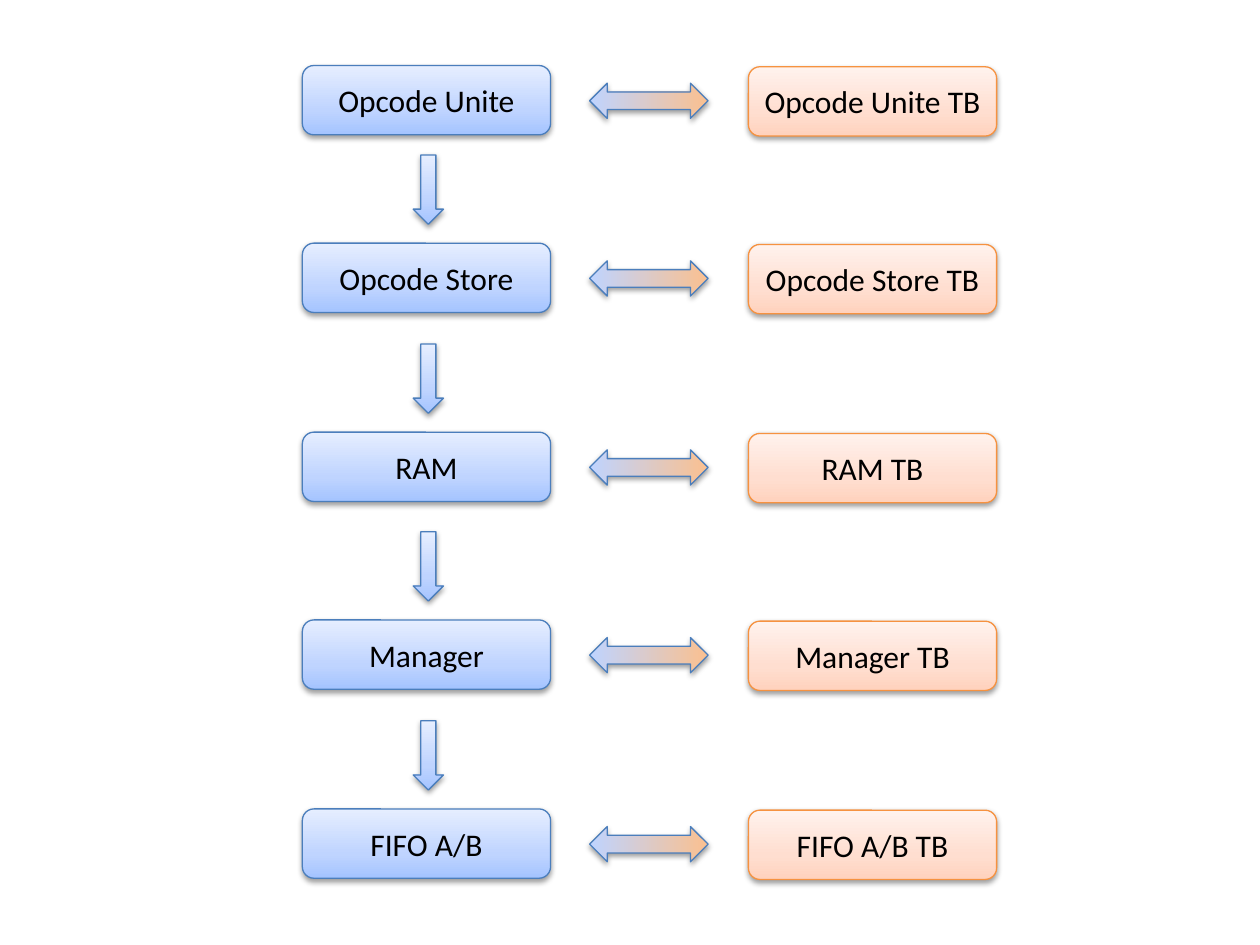
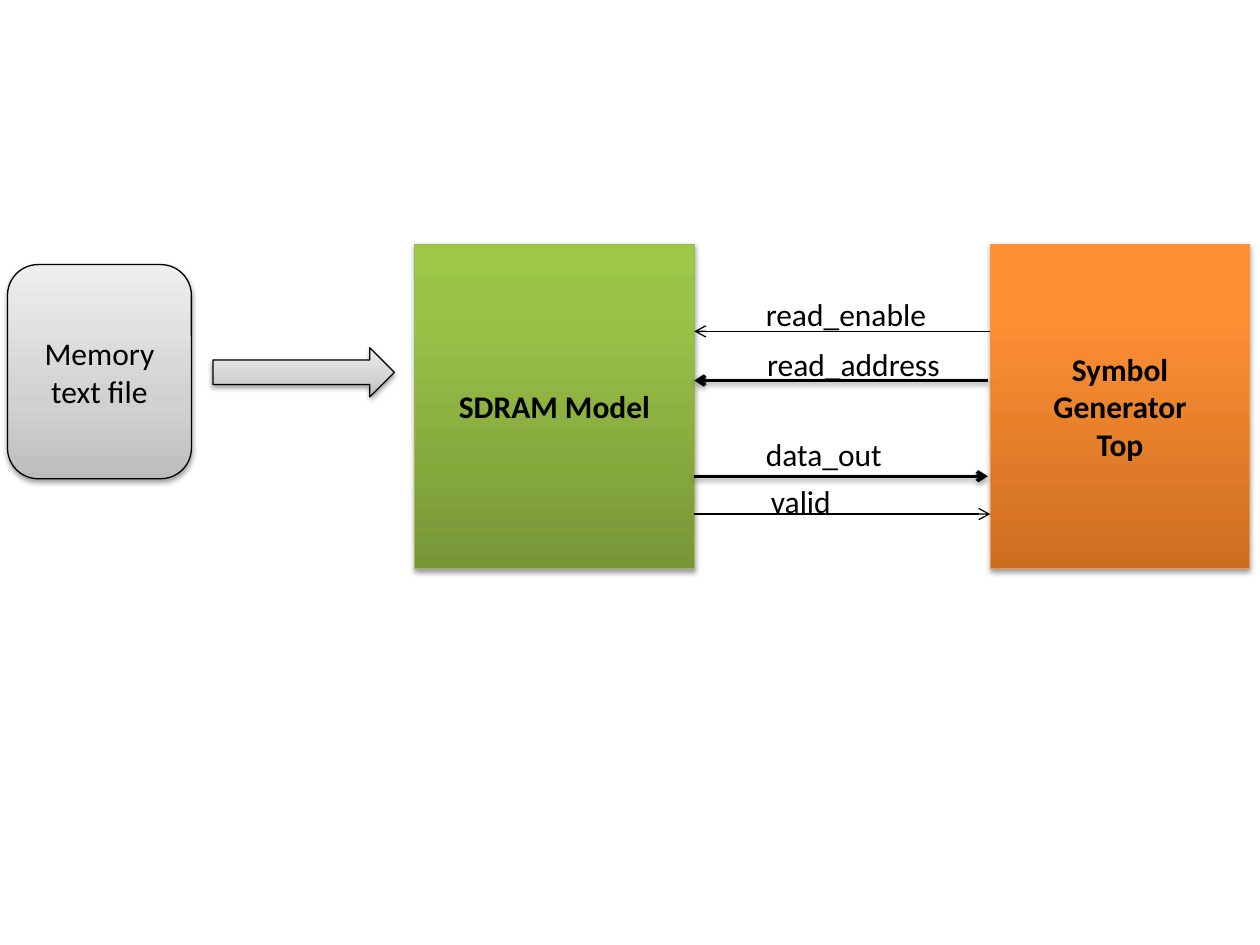
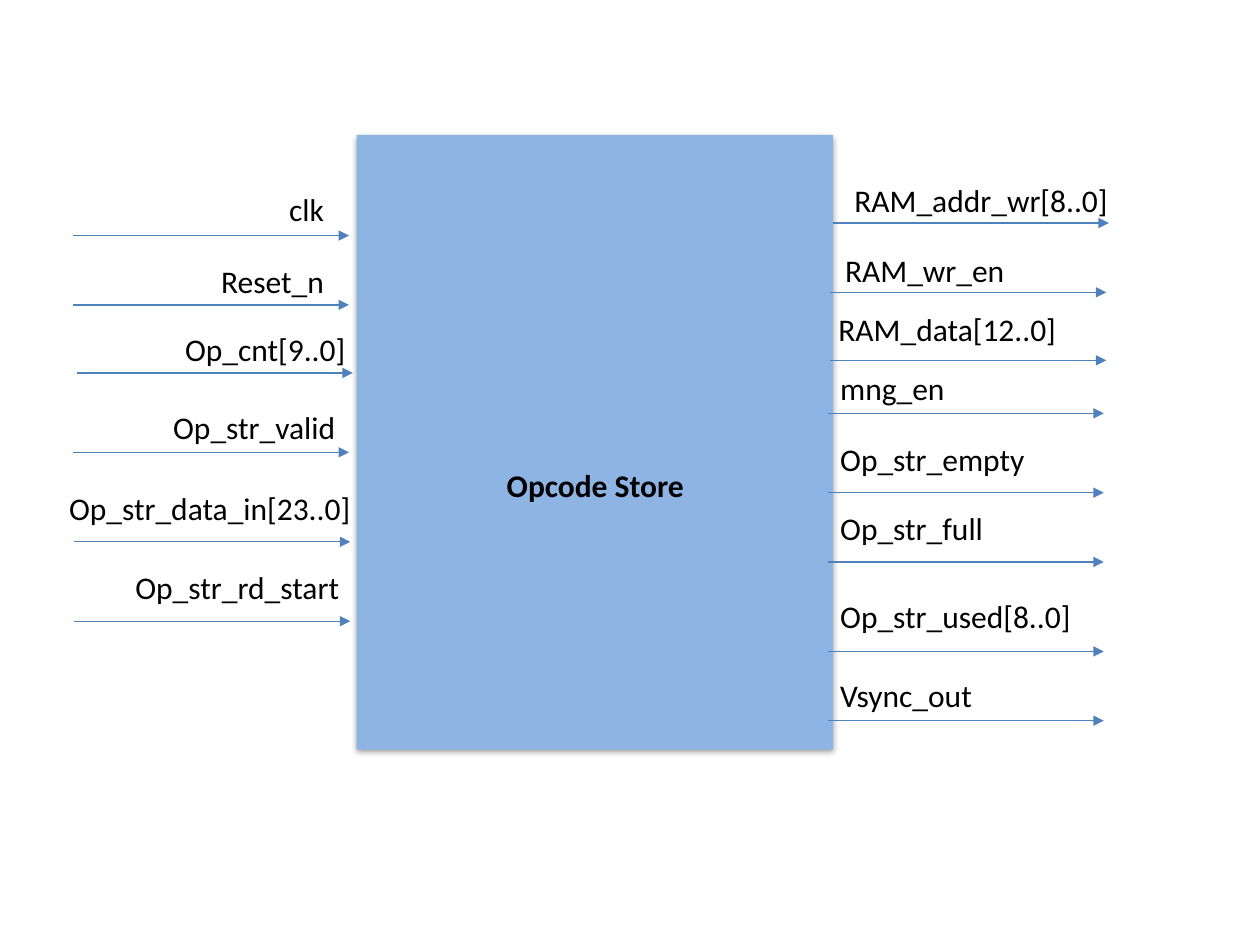
from copy import deepcopy

from pptx import Presentation
from pptx.dml.color import RGBColor
from pptx.enum.shapes import MSO_CONNECTOR, MSO_SHAPE
from pptx.enum.text import MSO_ANCHOR, PP_ALIGN
from pptx.oxml import parse_xml
from pptx.oxml.ns import nsdecls, qn
from pptx.util import Inches, Pt

ROUNDED, RECTANGLE = MSO_SHAPE.ROUNDED_RECTANGLE, MSO_SHAPE.RECTANGLE
DOWN, RIGHT_ARROW = MSO_SHAPE.DOWN_ARROW, MSO_SHAPE.RIGHT_ARROW
BOTH_WAYS = MSO_SHAPE.LEFT_RIGHT_ARROW
STRAIGHT = MSO_CONNECTOR.STRAIGHT
MIDDLE = MSO_ANCHOR.MIDDLE
LEFT, CENTER, RIGHT = PP_ALIGN.LEFT, PP_ALIGN.CENTER, PP_ALIGN.RIGHT

# Shared colours and text style
FONT, TEXT_SIZE = "Calibri", Pt(18)
BLACK = RGBColor(0x00, 0x00, 0x00)
BLUE_LINE = RGBColor(0x4B, 0x7E, 0xBC)
ORANGE_LINE = RGBColor(0xF6, 0x92, 0x40)
GREEN_LINE = RGBColor(0x98, 0xB9, 0x55)
SIGNAL_BLUE = RGBColor(0x4F, 0x81, 0xBD)
STORE_BLUE = RGBColor(0x8E, 0xB4, 0xE3)
SKY = RGBColor(0xBF, 0xD4, 0xFF)
PALE_SKY = RGBColor(0xE6, 0xEE, 0xFF)

# Fills as (position, colour) stops; a single stop is a solid fill
BLUE = [(0, RGBColor(0xA4, 0xC4, 0xFF)), (0.35, SKY), (1, PALE_SKY)]
PEACH = [(0, RGBColor(0xFF, 0xD2, 0xBD)), (0.35, RGBColor(0xFF, 0xDE, 0xD0)),
         (1, RGBColor(0xFF, 0xF2, 0xED))]
PEACH_TO_BLUE = [(0, RGBColor(0xFA, 0xC0, 0x90)), (1, SKY), (1, PALE_SKY)]
GREY = [(0, RGBColor(0xBD, 0xBD, 0xBD)), (0.35, RGBColor(0xD1, 0xD1, 0xD1)),
        (1, RGBColor(0xEE, 0xEE, 0xEE))]
ORANGE = [(0, RGBColor(0xCC, 0x6E, 0x20)), (0.8, RGBColor(0xFF, 0x90, 0x34)),
          (1, RGBColor(0xFF, 0x91, 0x36))]
GREEN = [(0, RGBColor(0x77, 0x97, 0x37)), (0.8, RGBColor(0x9B, 0xC3, 0x48)),
         (1, RGBColor(0x9D, 0xC7, 0x46))]

SHADOW = (f'<a:outerShdw {nsdecls("a")} blurRad="40000" dist="20000" dir="5400000" '
          'rotWithShape="0"><a:srgbClr val="000000"><a:alpha val="38000"/>'
          '</a:srgbClr></a:outerShdw>')


def add_block(slide, kind, box, stops, line_color, text="", bold=False, angle=90):
    block = slide.shapes.add_shape(kind, *map(Inches, box))
    if len(stops) == 1:
        block.fill.solid()
        block.fill.fore_color.rgb = stops[0][1]
    else:
        block.fill.gradient()
        block.fill.gradient_angle = angle
        stop_list = block._element.spPr.find(".//" + qn("a:gsLst"))
        stop_list.append(deepcopy(stop_list[-1]))
        for stop, (position, color) in zip(block.fill.gradient_stops, stops):
            stop.position = position
            stop.color.rgb = color
    if line_color is None:
        block.line.fill.background()
    else:
        block.line.color.rgb = line_color
        block.line.width = Pt(0.75)
    block.shadow.inherit = False
    block._element.spPr.find(qn("a:effectLst")).append(parse_xml(SHADOW))
    if text:
        block.text_frame.text = text
        block.text_frame.word_wrap = True
        block.text_frame.vertical_anchor = MIDDLE
        for paragraph in block.text_frame.paragraphs:
            paragraph.alignment = CENTER
            paragraph.font.name, paragraph.font.size = FONT, TEXT_SIZE
            paragraph.font.bold = bold
            paragraph.font.color.rgb = BLACK


def add_signal(slide, name, box, align, start, end, y, color, head, weight=0.75):
    wire = slide.shapes.add_connector(
        STRAIGHT, Inches(start), Inches(y), Inches(end), Inches(y))
    wire.line.color.rgb = color
    wire.line.width = Pt(weight)
    wire.line._get_or_add_ln().append(
        parse_xml(f'<a:tailEnd {nsdecls("a")} type="{head}"/>'))
    effects = parse_xml(f'<a:effectLst {nsdecls("a")}/>')
    if weight > 1:  # buses carry a shadow
        effects.append(parse_xml(SHADOW))
    wire._element.spPr.append(effects)

    label = slide.shapes.add_textbox(*map(Inches, box))
    label.text_frame.word_wrap = True
    paragraph = label.text_frame.paragraphs[0]
    paragraph.text = name
    paragraph.alignment = align
    paragraph.font.name, paragraph.font.size = FONT, TEXT_SIZE
    paragraph.font.color.rgb = BLACK


prs = Presentation()
prs.slide_width, prs.slide_height = Inches(10), Inches(7.5)
blank = prs.slide_layouts[6]

# Slide 1: each unit beside its test bench
units_slide = prs.slides.add_slide(blank)
units = [("Opcode Unite", 0.52), ("Opcode Store", 1.93), ("RAM", 3.43),
         ("Manager", 4.92), ("FIFO A/B", 6.42)]
for row, (unit, top) in enumerate(units):
    if row:
        add_block(units_slide, DOWN, (3.28, top - 0.7, 0.24, 0.55), BLUE, BLUE_LINE)
    add_block(units_slide, ROUNDED, (2.4, top, 1.97, 0.55), BLUE, BLUE_LINE, unit)
    add_block(units_slide, BOTH_WAYS, (4.68, top + 0.14, 0.94, 0.28),
              PEACH_TO_BLUE, BLUE_LINE, angle=180)
    add_block(units_slide, ROUNDED, (5.94, top + 0.01, 1.97, 0.55),
              PEACH, ORANGE_LINE, unit + " TB")

# Slide 2: memory model and symbol generator
memory_slide = prs.slides.add_slide(blank)
add_block(memory_slide, RECTANGLE, (7.86, 1.94, 2.06, 2.57), ORANGE, ORANGE_LINE,
          "Symbol Generator\nTop", bold=True)
add_block(memory_slide, RECTANGLE, (3.29, 1.94, 2.22, 2.57), GREEN, GREEN_LINE,
          "SDRAM Model", bold=True)
for name, left, top, width, start, end, y, weight in [
    ("valid", 6.02, 3.78, 1.61, 5.51, 7.86, 4.08, 0.75),
    ("data_out", 5.98, 3.4, 1.5, 5.51, 7.84, 3.78, 2),
    ("read_enable", 5.98, 2.29, 1.5, 7.86, 5.51, 2.63, 0.75),
    ("read_address", 5.99, 2.69, 1.72, 7.84, 5.51, 3.02, 2),
]:
    add_signal(memory_slide, name, (left, top, width, 0.4), LEFT,
               start, end, y, BLACK, "arrow", weight)
add_block(memory_slide, ROUNDED, (0.06, 2.1, 1.46, 1.7), GREY, BLACK,
          "Memory text file")
add_block(memory_slide, RIGHT_ARROW, (1.69, 2.76, 1.44, 0.39), GREY, BLACK)

# Slide 3: ports of the opcode store
store_slide = prs.slides.add_slide(blank)
add_block(store_slide, RECTANGLE, (2.83, 1.07, 3.78, 4.88), [(0, STORE_BLUE)], None)
store_name = store_slide.shapes.add_textbox(
    Inches(3.44), Inches(3.65), Inches(2.57), Inches(0.4))
store_name.text_frame.word_wrap = True
store_title = store_name.text_frame.paragraphs[0]
store_title.text = "Opcode Store"
store_title.alignment = CENTER
store_title.font.name, store_title.font.size = FONT, TEXT_SIZE
store_title.font.bold = True
store_title.font.color.rgb = BLACK

WIRE_LENGTH = 2.19
for name, left, top, width, align, start, y in [
    # Inputs
    ("clk", 0.47, 1.46, 2.2, RIGHT, 0.58, 1.87),
    ("Reset_n", 0.47, 2.03, 2.2, RIGHT, 0.58, 2.42),
    ("Op_cnt[9..0]", 0.28, 2.57, 2.56, RIGHT, 0.61, 2.96),
    ("Op_str_valid", 0.2, 3.19, 2.56, RIGHT, 0.58, 3.59),
    ("Op_str_data_in[23..0]", 0.2, 3.83, 2.68, RIGHT, 0.59, 4.3),
    ("Op_str_rd_start", 0.67, 4.46, 2.12, RIGHT, 0.59, 4.93),
    # Outputs
    ("RAM_addr_wr[8..0]", 6.42, 1.39, 2.47, RIGHT, 6.61, 1.77),
    ("RAM_wr_en", 6.5, 1.94, 1.57, RIGHT, 6.59, 2.32),
    ("RAM_data[12..0]", 6.42, 2.41, 2.06, RIGHT, 6.59, 2.86),
    ("mng_en", 6.57, 2.88, 2.2, LEFT, 6.57, 3.28),
    ("Op_str_empty", 6.57, 3.44, 2.2, LEFT, 6.57, 3.91),
    ("Op_str_full", 6.57, 3.99, 2.2, LEFT, 6.57, 4.46),
    ("Op_str_used[8..0]", 6.57, 4.69, 2.2, LEFT, 6.57, 5.17),
    ("Vsync_out", 6.57, 5.32, 2.2, LEFT, 6.57, 5.72),
]:
    add_signal(store_slide, name, (left, top, width, 0.4), align,
               start, start + WIRE_LENGTH, y, SIGNAL_BLUE, "triangle")

prs.save("out.pptx")
